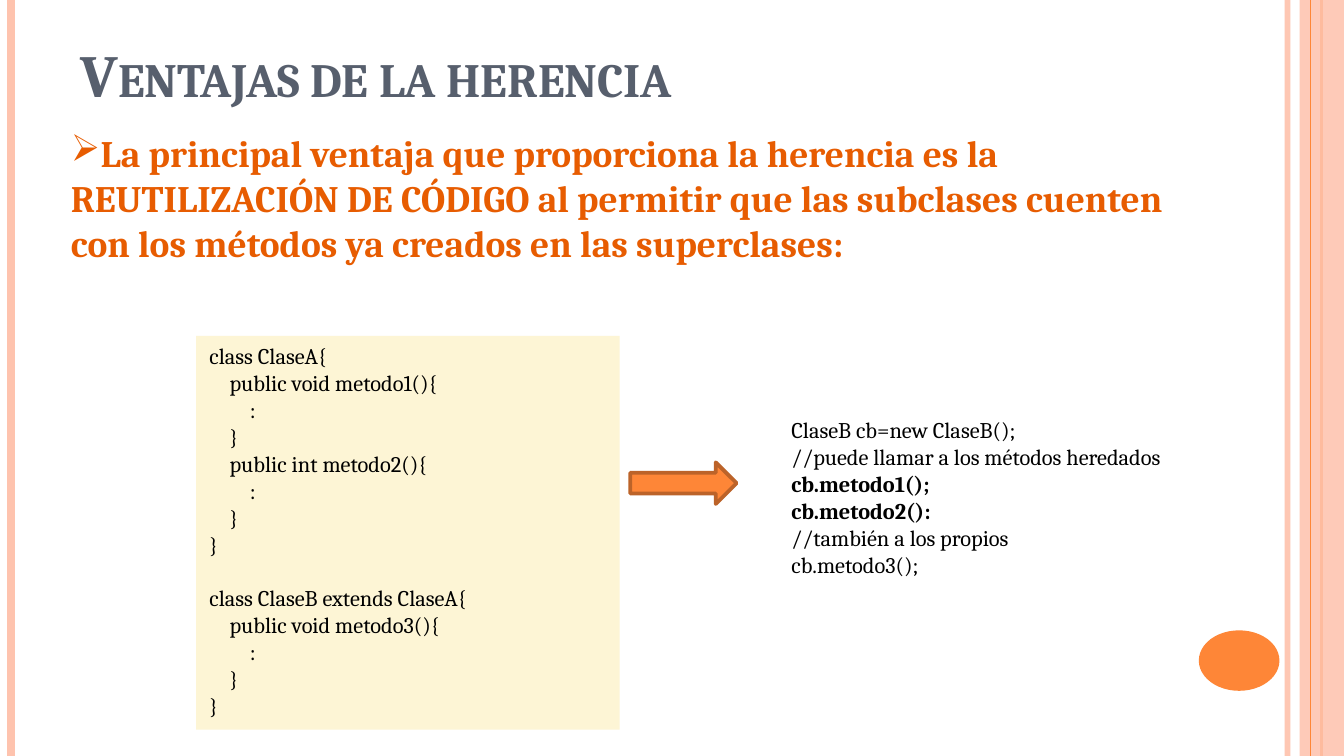
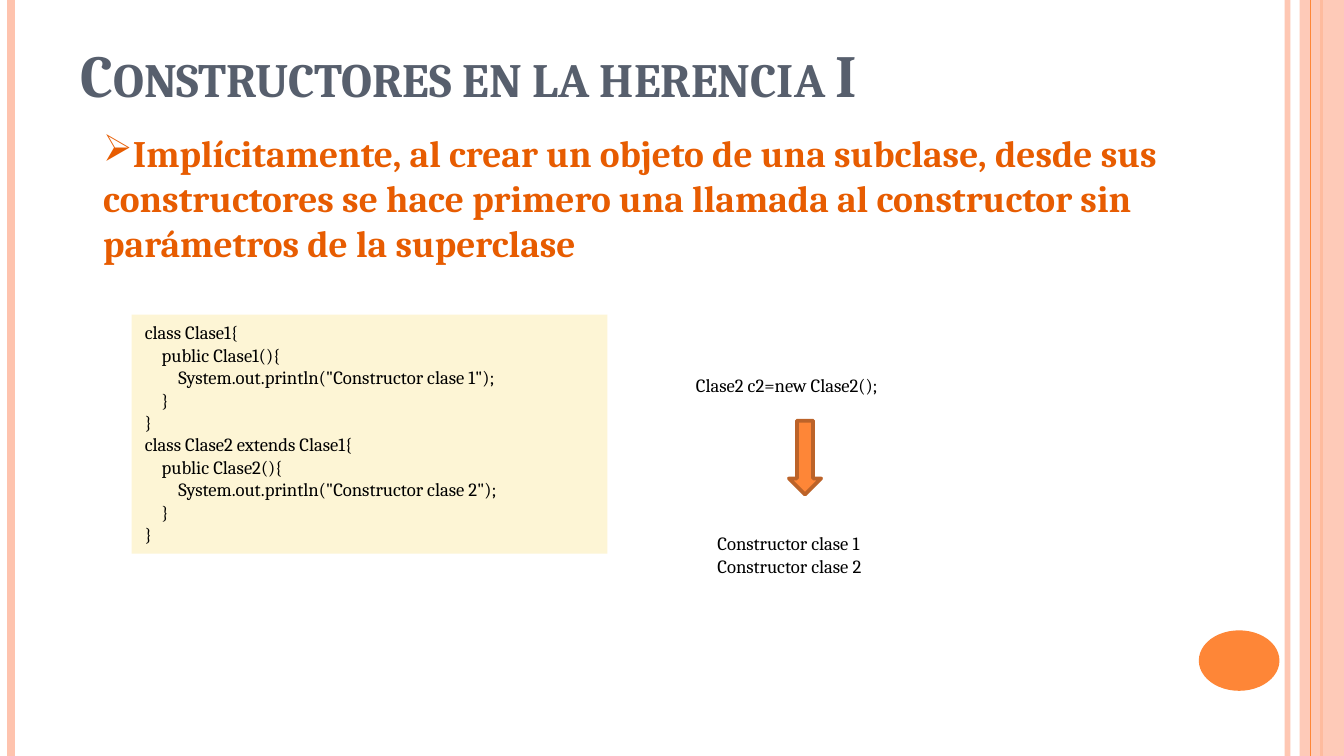
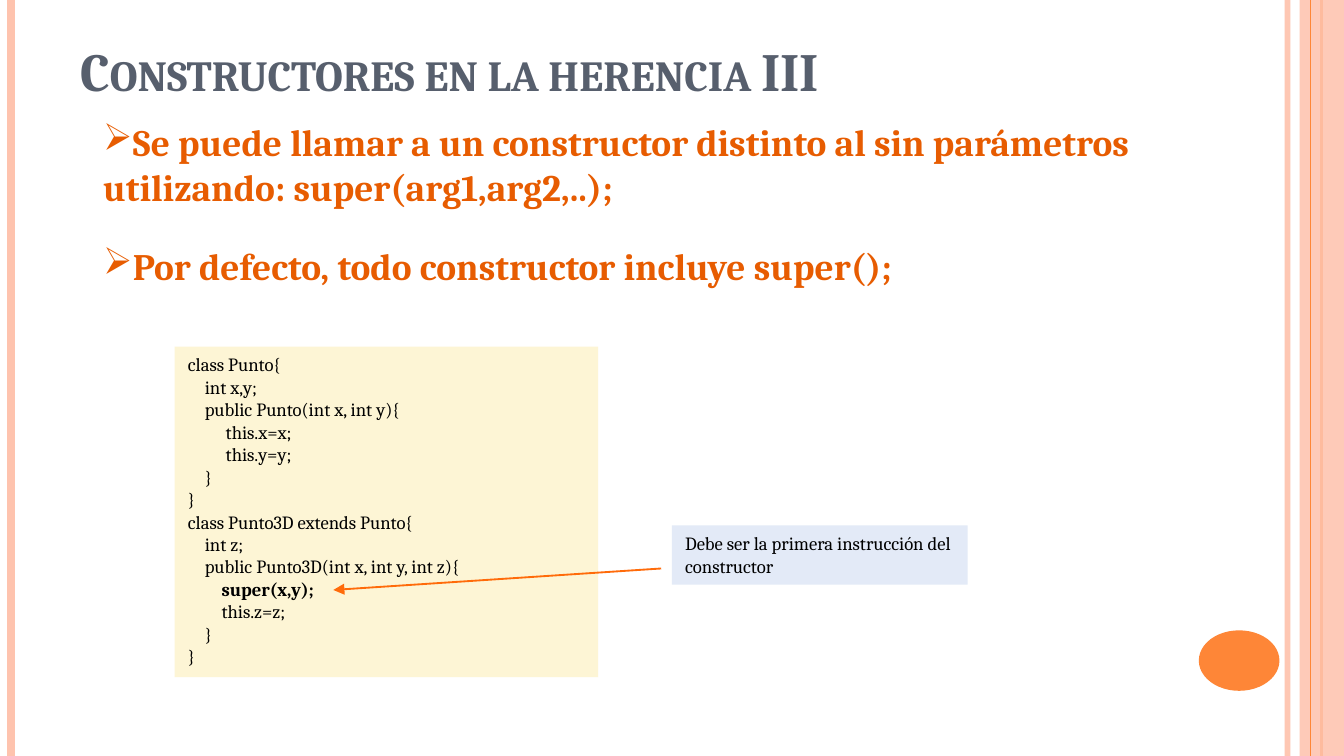
from lxml import etree
from pptx import Presentation
from pptx import util as u
from pptx.dml.color import RGBColor
from pptx.enum import shapes, text
from pptx.oxml.ns import qn

HUES = {
    "rose": "FEC3AE",
    "orange": "FE8637",
    "edge": "BC6329",
    "slate": "575F6D",
    "rust": "E75C01",
    "cream": "FDF5D5",
    "sky": "E3EAF7",
    "flame": "FF6B0A",
    "ink": "000000",
}
HUES = {name: RGBColor.from_string(hue) for name, hue in HUES.items()}
FONT = "Cambria"
BOLD = {"cb.metodo1();", "cb.metodo2():", "super(x,y);"}
KIND = shapes.MSO_SHAPE

deck = Presentation()
deck.slide_width, deck.slide_height = u.Inches(10), u.Inches(5.625)
CELL = deck.slide_width / 100
ROWS = deck.slide_height / CELL


def box(page, kind, spot, fill=None, words="", size=10, hue="ink", bold=False, grow=True):
    place = [round(part * CELL) for part in spot]
    if kind:
        item = page.shapes.add_shape(kind, *place)
        item.shadow.inherit = False
        item.fill.solid()
        item.fill.fore_color.rgb = HUES[fill]
        item.line.fill.background()
    else:
        item = page.shapes.add_textbox(*place)
    if not words:
        return item
    frame = item.text_frame
    frame.word_wrap = True
    frame.vertical_anchor = text.MSO_ANCHOR.TOP
    frame.auto_size = text.MSO_AUTO_SIZE.SHAPE_TO_FIT_TEXT if grow else text.MSO_AUTO_SIZE.NONE
    rows = words.split("\n")
    frame.text = "\n".join(row.strip() for row in rows if row)
    lines = iter(frame.paragraphs)
    gap = False
    for row in rows:
        if not row:
            gap = True
            continue
        line = next(lines)
        line.alignment = text.PP_ALIGN.LEFT
        if gap:
            line.space_before = u.Pt(size * 1.2)
            gap = False
        inset = len(row) - len(row.lstrip())
        if inset:
            line._p.get_or_add_pPr().set("marL", str(u.Pt(inset * size * 0.225)))
        for run in line.runs:
            run.font.name, run.font.size = FONT, u.Pt(size)
            run.font.bold = bold or run.text in BOLD
            run.font.color.rgb = HUES[hue]
    return item


def rule(page, start, end, hue, width):
    ends = [round(part * CELL) for part in (*start, *end)]
    line = page.shapes.add_connector(shapes.MSO_CONNECTOR.STRAIGHT, *ends)
    line.line.color.rgb = HUES[hue]
    line.line.width = u.Pt(width)
    etree.SubElement(line._element.spPr, qn("a:effectLst"))
    return line


plans = [
    {
        "title": "Ventajas de la herencia",
        "size": 32,
        "body": (4.3, 9.2, 84.3, 14.8),
        "points": "La principal ventaja que proporciona la herencia es la REUTILIZACIÓN DE CÓDIGO "
        "al permitir que las subclases cuenten con los métodos ya creados en las superclases:",
        "spot": (14.6, 25, 31.5, 29.3),
        "type": 12,
        "code": """class ClaseA{
    public void metodo1(){
        :
    }
    public int metodo2(){
        :
    }
}

class ClaseB extends ClaseA{
    public void metodo3(){
        :
    }
}""",
        "notes": [
            (
                (57.9, 30.5, 34.6, 13.1),
                """ClaseB cb=new ClaseB();
//puede llamar a los métodos heredados
cb.metodo1();
cb.metodo2():
//también a los propios
cb.metodo3();""",
            )
        ],
        "arrow": (KIND.RIGHT_ARROW, (46.9, 34.4, 7.9, 3.1)),
    },
    {
        "title": "Constructores en la herencia I",
        "size": 32,
        "body": (6.7, 9.2, 84.3, 14.8),
        "points": "Implícitamente, al crear un objeto de una subclase, desde sus constructores "
        "se hace primero una llamada al constructor sin parámetros de la superclase",
        "spot": (9.8, 23.4, 35.4, 17.8),
        "type": 10,
        "code": """class Clase1{
    public Clase1(){
        System.out.println("Constructor clase 1");
    }
}
class Clase2 extends Clase1{
    public Clase2(){
        System.out.println("Constructor clase 2");
    }
}""",
        "notes": [
            ((50.8, 27.3, 31.5, 2.7), "Clase2 c2=new Clase2();"),
            ((52.4, 39.1, 15.7, 4.4), "Constructor clase 1\nConstructor clase 2"),
        ],
        "arrow": (KIND.DOWN_ARROW, (58.7, 31.3, 2.4, 5.5)),
    },
    {
        "title": "Constructores en la herencia III",
        "size": 28.8,
        "body": (6.7, 8.4, 78.7, 14.8),
        "points": "Se puede llamar a un constructor distinto al sin parámetros utilizando: "
        "super(arg1,arg2,..);\nPor defecto, todo constructor incluye super();",
        "spot": (13, 25.8, 31.5, 24.6),
        "type": 10,
        "code": """class Punto{
    int x,y;
    public Punto(int x, int y){
         this.x=x;
         this.y=y;
    }
}
class Punto3D extends Punto{
    int z;
    public Punto3D(int x, int y, int z){
        super(x,y);
        this.z=z;
    }
}""",
        "notes": [],
        "arrow": None,
    },
]

for plan in plans:
    page = deck.slides.add_slide(deck.slide_layouts[6])
    rail = rule(page, (95.8, 0), (95.8, ROWS), "rose", 3)
    rule(page, (0.8, 0), (0.8, ROWS), "rose", 4.5)
    rule(page, (98.3, 0), (98.3, ROWS), "orange", 1.5)
    band = box(page, KIND.RECTANGLE, (96.7, 0, 3.3, ROWS), "rose")
    rule(page, (97.5, 0), (97.5, ROWS), "orange", 0.75)
    box(page, KIND.OVAL, (89.2, 46.9, 6, 4.5), "orange")
    for item, share in ((rail, 93), (band, 87)):
        for tint in item._element.iter(qn("a:srgbClr")):
            etree.SubElement(tint, qn("a:alpha")).set("val", str(share * 1000))

    title = box(page, None, (5, 2.3, 81.7, 9.4), None, plan["title"], plan["size"], "slate", True, False)
    title.text_frame.paragraphs[0].runs[0]._r.get_or_add_rPr().set("cap", "small")

    body = box(page, None, plan["body"], None, plan["points"], 20, "rust", True, False)
    for point in body.text_frame.paragraphs:
        point.space_before, point.space_after = u.Pt(6), u.Pt(12)
        etree.SubElement(point._p.get_or_add_pPr(), qn("a:buChar")).set("char", "➢")

    box(page, KIND.RECTANGLE, plan["spot"], "cream", plan["code"], plan["type"])
    for spot, words in plan["notes"]:
        box(page, None, spot, None, words, plan["type"])
    if plan["arrow"]:
        arrow = box(page, *plan["arrow"], "orange")
        arrow.line.color.rgb = HUES["edge"]
        arrow.line.width = u.Pt(2)

tie = rule(page, (49.2, 42.3), (24.8, 43.9), "flame", 1)
etree.SubElement(tie.line._get_or_add_ln(), qn("a:tailEnd")).set("type", "triangle")
box(page, KIND.RECTANGLE, (50, 39.1, 22, 4.4), "sky", "Debe ser la primera instrucción del constructor")

deck.save("out.pptx")
